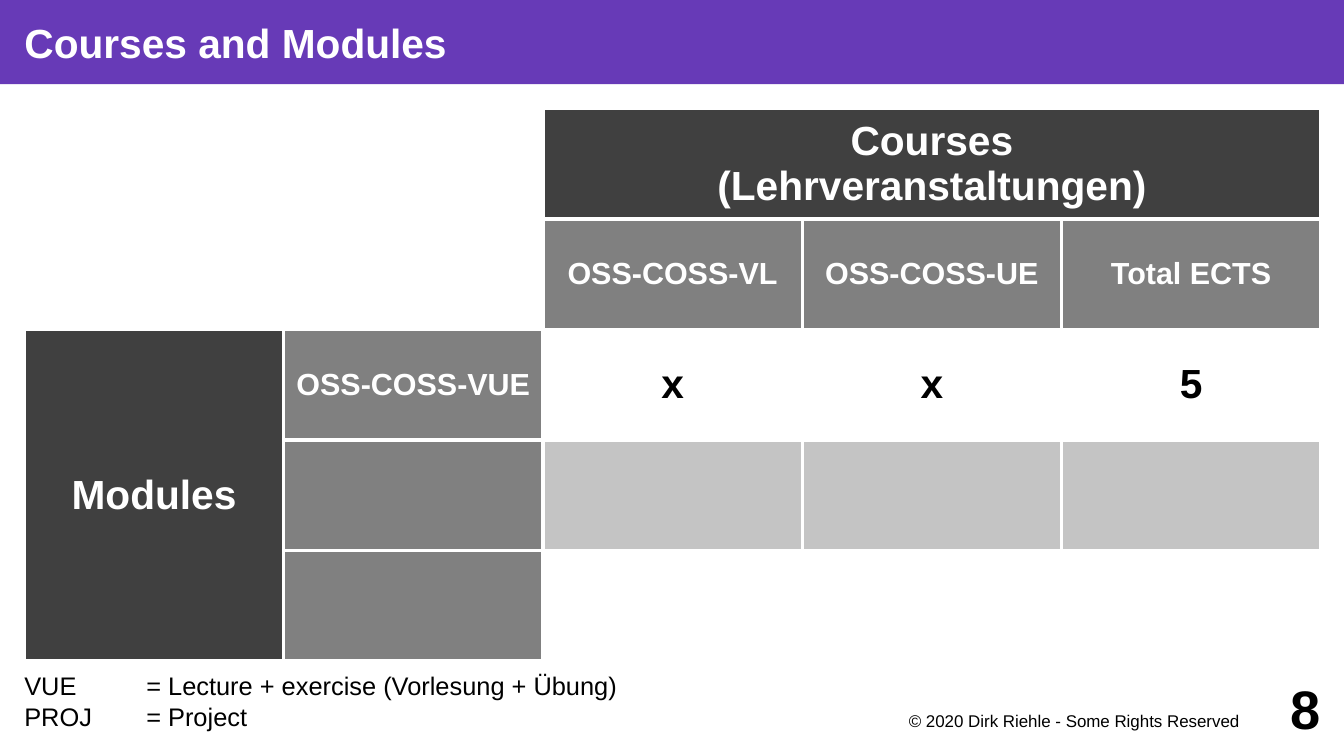
from dataclasses import dataclass

from lxml import etree
from pptx import Presentation
from pptx.dml.color import RGBColor
from pptx.enum.text import MSO_ANCHOR, MSO_AUTO_SIZE, PP_ALIGN
from pptx.oxml.ns import qn
from pptx.util import Inches, Pt

LEFT, CENTER, RIGHT = PP_ALIGN.LEFT, PP_ALIGN.CENTER, PP_ALIGN.RIGHT
TOP, MIDDLE, BOTTOM = MSO_ANCHOR.TOP, MSO_ANCHOR.MIDDLE, MSO_ANCHOR.BOTTOM
NO_FIT = MSO_AUTO_SIZE.NONE
TITLE_ONLY = 5

WIDTH, HEIGHT, MARGIN = 11.02, 6.2, 0.2
TITLE_HEIGHT = 0.69
GRID_TOP = TITLE_HEIGHT + MARGIN
COLUMNS = ROWS = 5
COLUMN = 10.63 / COLUMNS
ROW = 4.53 / ROWS
TAB_STOP = 1.0
FONT = "Arial"
COLORS = {
    "purple": "673AB7",
    "white": "FFFFFF",
    "black": "000000",
    "dark": "404040",
    "middle": "808080",
    "light": "C4C4C4",
}


@dataclass
class Style:
    size: float
    color: str = "black"
    bold: bool = False
    align: PP_ALIGN = LEFT
    anchor: MSO_ANCHOR = TOP


@dataclass
class Label:
    left: float
    top: float
    width: float
    height: float
    margins: tuple
    lines: list
    style: Style


@dataclass
class Entry:
    row: int
    column: int
    text: str
    fill: str
    style: Style
    rows: int = 1
    columns: int = 1


GROUP = Style(24, "white", True, CENTER, MIDDLE)
HEADING = Style(18, "white", True, CENTER, MIDDLE)
VALUE = Style(24, "black", True, CENTER, MIDDLE)

ENTRIES = [
    Entry(0, 2, "Courses\n(Lehrveranstaltungen)", "dark", GROUP, columns=3),
    Entry(1, 2, "OSS-COSS-VL", "middle", HEADING),
    Entry(1, 3, "OSS-COSS-UE", "middle", HEADING),
    Entry(1, 4, "Total ECTS", "middle", HEADING),
    Entry(2, 0, "Modules", "dark", GROUP, rows=3),
    Entry(2, 1, "OSS-COSS-VUE", "middle", HEADING),
    Entry(2, 2, "x", "white", VALUE),
    Entry(2, 3, "x", "white", VALUE),
    Entry(2, 4, "5", "white", VALUE),
]
BLANK_FILLS = {(3, 1): "middle", (4, 1): "middle"}
BLANK_FILLS.update({(3, column): "light" for column in range(2, COLUMNS)})

LABELS = [
    Label(0, HEIGHT - 1.57, 7.87, 1.57, (MARGIN, 0, 0, MARGIN),
          ["VUE \t= Lecture + exercise (Vorlesung + Übung)", "PROJ \t= Project"],
          Style(15, anchor=BOTTOM)),
    Label(7.09, 5.81, 3.15, 0.3, (0, 0.02, 0.08, 0),
          ["© 2020 Dirk Riehle - Some Rights Reserved"], Style(10, align=RIGHT)),
    Label(10.04, 5.51, 0.79, 0.59, (0, 0, 0, 0), ["8"],
          Style(32, bold=True, align=RIGHT, anchor=MIDDLE)),
]


def rgb(name: str) -> RGBColor:
    return RGBColor.from_string(COLORS[name])


def add_span(para, text: str, style: Style) -> None:
    para.alignment = style.align
    for index, line in enumerate(text.split("\n")):
        if index:
            para.add_line_break()
        span = para.add_run()
        span.text = line
        span.font.name = FONT
        span.font.size = Pt(style.size)
        span.font.bold = style.bold
        span.font.color.rgb = rgb(style.color)


def set_tab_stop(para) -> None:
    stops = etree.SubElement(para._p.get_or_add_pPr(), qn("a:tabLst"))
    etree.SubElement(stops, qn("a:tab"), pos=str(Inches(TAB_STOP)), algn="l")


def fill_frame(frame, lines: list, margins: tuple, style: Style) -> None:
    frame.word_wrap = True
    frame.auto_size = NO_FIT
    frame.vertical_anchor = style.anchor
    (frame.margin_left, frame.margin_top,
     frame.margin_right, frame.margin_bottom) = map(Inches, margins)
    for index, line in enumerate(lines):
        para = frame.add_paragraph() if index else frame.paragraphs[0]
        add_span(para, line, style)
        if "\t" in line:
            set_tab_stop(para)


def add_title(page, text: str) -> None:
    title = page.shapes.title
    title.left, title.top = 0, 0
    title.width, title.height = Inches(WIDTH), Inches(TITLE_HEIGHT)
    title.fill.solid()
    title.fill.fore_color.rgb = rgb("purple")
    fill_frame(title.text_frame, [text], (MARGIN, 0, 0, 0),
               Style(24, "white", True, anchor=MIDDLE))


def paint_cell(cell, fill: str) -> None:
    properties = cell._tc.get_or_add_tcPr()
    for side in ("lnL", "lnR", "lnT", "lnB"):
        line = etree.SubElement(properties, qn(f"a:{side}"), w=str(Pt(2.27)))
        solid = etree.SubElement(line, qn("a:solidFill"))
        etree.SubElement(solid, qn("a:srgbClr"), val=COLORS["white"])
    cell.fill.solid()
    cell.fill.fore_color.rgb = rgb(fill)


def add_matrix(page) -> None:
    table = page.shapes.add_table(
        ROWS, COLUMNS, Inches(MARGIN), Inches(GRID_TOP),
        Inches(COLUMN * COLUMNS), Inches(ROW * ROWS)).table
    table.first_row = table.horz_banding = False
    fills = dict(BLANK_FILLS)
    for entry in ENTRIES:
        for row in range(entry.row, entry.row + entry.rows):
            for column in range(entry.column, entry.column + entry.columns):
                fills[row, column] = entry.fill
    for row in range(ROWS):
        for column in range(COLUMNS):
            paint_cell(table.cell(row, column), fills.get((row, column), "white"))
    for entry in ENTRIES:
        cell = table.cell(entry.row, entry.column)
        if entry.rows * entry.columns > 1:
            cell.merge(table.cell(entry.row + entry.rows - 1,
                                  entry.column + entry.columns - 1))
        cell.vertical_anchor = entry.style.anchor
        cell.margin_left = cell.margin_right = Inches(0.08)
        add_span(cell.text_frame.paragraphs[0], entry.text, entry.style)


def add_label(page, label: Label) -> None:
    box = page.shapes.add_textbox(Inches(label.left), Inches(label.top),
                                  Inches(label.width), Inches(label.height))
    fill_frame(box.text_frame, label.lines, label.margins, label.style)


def main() -> None:
    deck = Presentation()
    deck.slide_width, deck.slide_height = Inches(WIDTH), Inches(HEIGHT)
    page = deck.slides.add_slide(deck.slide_layouts[TITLE_ONLY])
    add_title(page, "Courses and Modules")
    add_matrix(page)
    for label in LABELS:
        add_label(page, label)
    deck.save("out.pptx")


if __name__ == "__main__":
    main()
